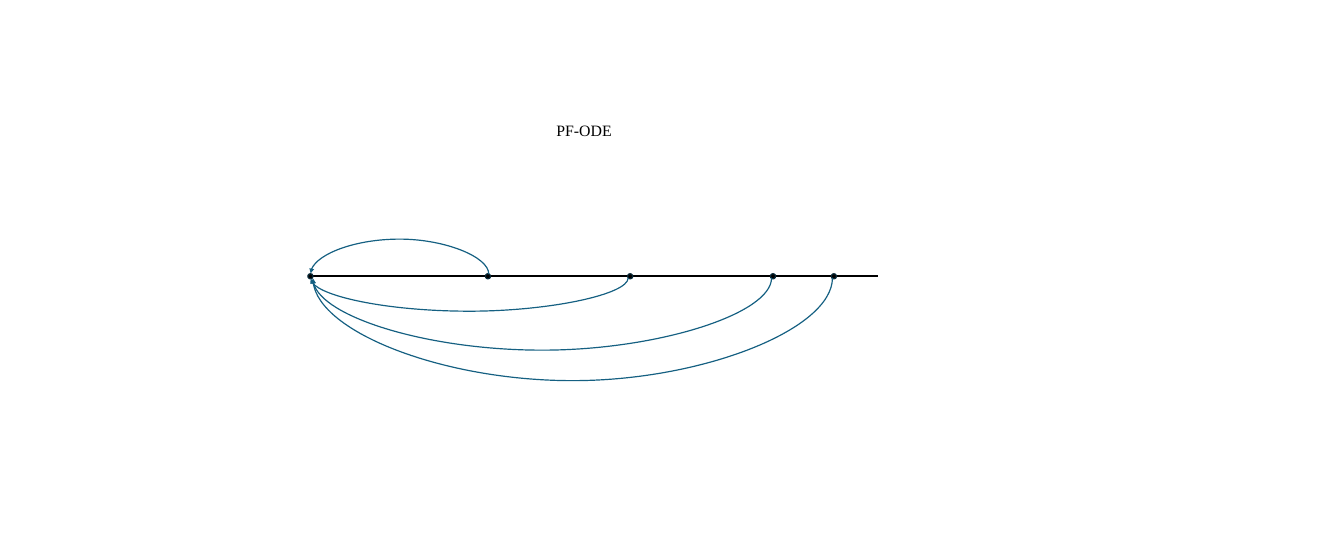
from lxml import etree
from pptx import Presentation
from pptx.dml.color import RGBColor
from pptx.enum import shapes as kinds, text
from pptx.oxml.ns import qn
from pptx.util import Inches, Pt

# Content
TITLE = "PF-ODE"
DOTS = [5.41, 8.53, 11.03, 13.54, 14.61]  # left edges, first is the target
DOT_TOP, SIZE = 4.81, 0.09
AXIS = (15.43, 5.41, 4.85)  # from x, to x, y
# Sites on an ellipse
TOP, LOW_LEFT, LOW, LOW_RIGHT = 0, 3, 4, 5
# Start dot, start site, end site, right x, left x, y, depth, above axis
ARCS = [
    (1, TOP, TOP, 8.59, 5.46, 4.81, 0.62, True),
    (2, LOW_LEFT, LOW, 11.04, 5.46, 4.89, 0.59, False),
    (3, LOW_LEFT, LOW_RIGHT, 13.56, 5.5, 4.89, 1.28, False),
    (4, LOW_LEFT, LOW_RIGHT, 14.63, 5.5, 4.89, 1.82, False),
]
BLACK = RGBColor(0x00, 0x00, 0x00)
NAVY = RGBColor(0x09, 0x2A, 0x39)
TEAL = RGBColor(0x15, 0x60, 0x82)

deck = Presentation()
deck.slide_width, deck.slide_height = Inches(23.62), Inches(9.84)
slide = deck.slides.add_slide(deck.slide_layouts[6])
parts = slide.shapes


def add_arrow(kind, x1, x2, y, color):
    link = parts.add_connector(kind, Inches(x1), Inches(y), Inches(x2), Inches(y))
    link.line.color.rgb = color
    link.line.width = Pt(1.5)
    props = link.element.spPr
    etree.SubElement(props.find(qn("a:ln")), qn("a:tailEnd"), type="triangle")
    etree.SubElement(props, qn("a:effectLst"))
    return link


# Axis
add_arrow(kinds.MSO_CONNECTOR.STRAIGHT, *AXIS, BLACK)

# Title
box = parts.add_textbox(Inches(9.68), Inches(2.07), Inches(1.19), Inches(0.44))
frame = box.text_frame
frame.word_wrap = False
frame.auto_size = text.MSO_AUTO_SIZE.SHAPE_TO_FIT_TEXT
line = frame.paragraphs[0]
line.text = TITLE
line.font.name = "Times New Roman"
line.font.size = Pt(20)
line.font.color.rgb = BLACK

# Time points, drawn from right to left
dots = {}
for i, x in reversed(list(enumerate(DOTS))):
    dot = parts.add_shape(kinds.MSO_SHAPE.OVAL, Inches(x), Inches(DOT_TOP),
                          Inches(SIZE), Inches(SIZE))
    dot.shadow.inherit = False
    dot.fill.solid()
    dot.fill.fore_color.rgb = BLACK
    dot.line.color.rgb = NAVY
    dot.line.width = Pt(1.5)
    dots[i] = dot

# Arcs back to the first point: thin connectors turned a quarter
for i, start, end, right, left, y, depth, above in ARCS:
    arc = add_arrow(kinds.MSO_CONNECTOR.CURVE, right, left, y, TEAL)
    # Connect at the top, then choose among all eight sites
    arc.begin_connect(dots[i], TOP)
    arc.end_connect(dots[0], TOP)
    for tag, site in (("a:stCxn", start), ("a:endCxn", end)):
        next(arc.element.iter(qn(tag))).set("idx", str(site))
    thin, span = Pt(1), Inches(right - left)
    arc.width, arc.height = thin, span
    arc.left = Inches((left + right) / 2) - thin // 2
    arc.top = Inches(y) - span // 2
    xfrm = arc.element.spPr.find(qn("a:xfrm"))
    xfrm.set("rot", str((270 if above else 90) * 60000))
    xfrm.set("flipH", "0")
    xfrm.set("flipV", "1" if above else "0")
    bend = round(Inches(depth) / thin * 100000)
    guides = arc.element.spPr.find(qn("a:prstGeom")).find(qn("a:avLst"))
    etree.SubElement(guides, qn("a:gd"), name="adj1", fmla=f"val {bend}")

deck.save("out.pptx")
